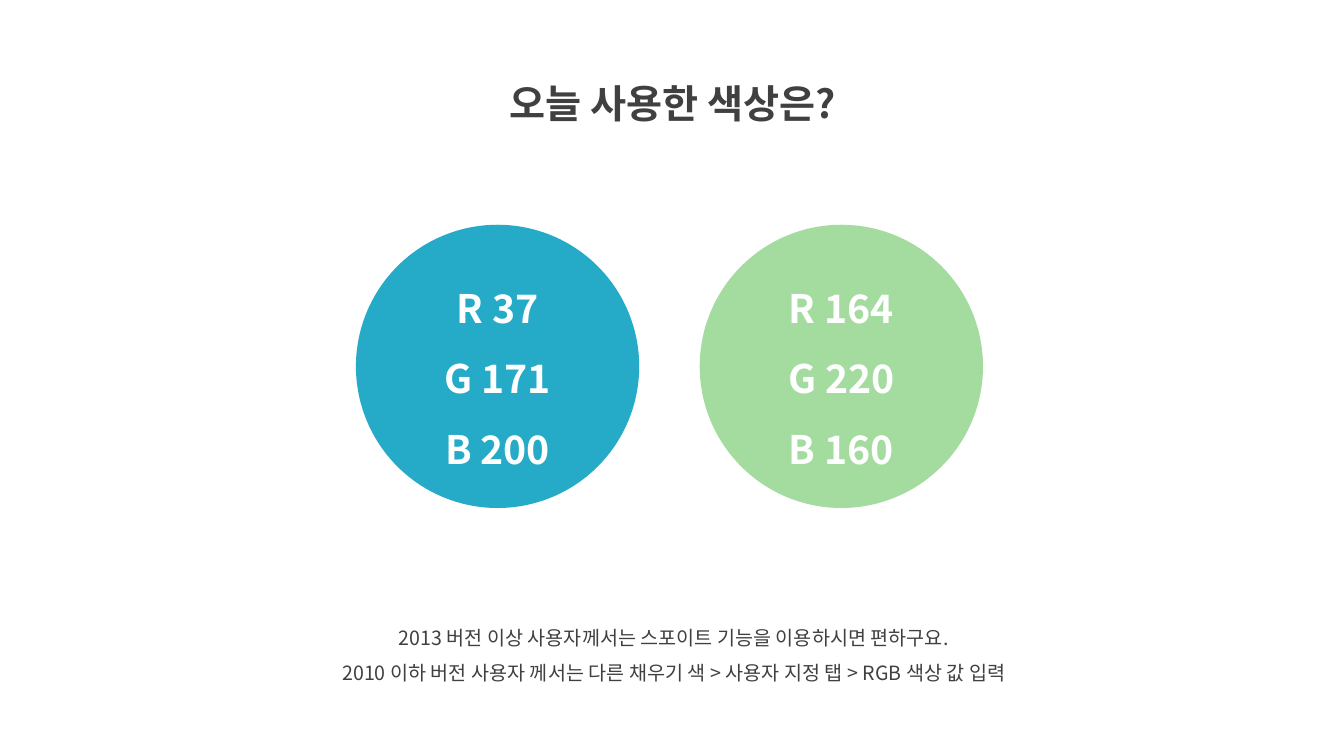
from pptx import Presentation
from pptx.dml.color import RGBColor
from pptx.enum.shapes import MSO_SHAPE
from pptx.enum.text import MSO_ANCHOR, MSO_AUTO_SIZE, PP_ALIGN
from pptx.oxml.ns import qn
from pptx.util import Inches, Pt

OVAL = MSO_SHAPE.OVAL
TOP, MIDDLE = MSO_ANCHOR.TOP, MSO_ANCHOR.MIDDLE
GROW, FIXED = MSO_AUTO_SIZE.SHAPE_TO_FIT_TEXT, MSO_AUTO_SIZE.NONE
CENTER = PP_ALIGN.CENTER

INK = RGBColor(0x40, 0x40, 0x40)
WHITE = RGBColor(0xFF, 0xFF, 0xFF)
BLUE = RGBColor(37, 171, 200)
GREEN = RGBColor(164, 220, 160)

SWATCH_LEFT, SWATCH_STEP = 26.48, 25.58
NOTES = [
    "2013 버전 이상 사용자께서는 스포이트 기능을 이용하시면 편하구요.",
    "2010 이하 버전 사용자 께서는 다른 채우기 색 > 사용자 지정 탭 > RGB 색상 값 입력",
]


class SlideBuilder:
    """Draws styled elements on a slide, placed in percent of its width and height."""

    font = "Noto Sans CJK KR"
    line_spacing = 1.5
    large, small = Pt(28), Pt(14)

    def __init__(self, deck):
        self.deck = deck
        self.slide = deck.slides.add_slide(deck.slide_layouts[5])

    def area(self, left, top, width, height):
        across, down = self.deck.slide_width / 100, self.deck.slide_height / 100
        return (round(left * across), round(top * down),
                round(width * across), round(height * down))

    def add_lines(self, shape, lines, size, color, bold=False, anchor=TOP, fit=GROW):
        frame = shape.text_frame
        frame.word_wrap = True
        frame.auto_size = fit
        frame.vertical_anchor = anchor
        for index, line in enumerate(lines):
            para = frame.add_paragraph() if index else frame.paragraphs[0]
            para.alignment = CENTER
            para.line_spacing = self.line_spacing
            para.space_before = Pt(0)
            span = para.add_run()
            span.text = line
            span.font.name = self.font
            span.font.size = size
            span.font.bold = bold
            span.font.color.rgb = color
            east_asian = span.font._element.makeelement(
                qn("a:ea"), {"typeface": self.font})
            span.font._element.find(qn("a:latin")).addnext(east_asian)

    def title(self, text, *place):
        box = self.slide.shapes.title
        box.left, box.top, box.width, box.height = self.area(*place)
        self.add_lines(box, [text], self.large, INK, bold=True)

    def note(self, lines, *place):
        box = self.slide.shapes.add_textbox(*self.area(*place))
        self.add_lines(box, lines, self.small, INK)

    def swatch(self, color, *place):
        circle = self.slide.shapes.add_shape(OVAL, *self.area(*place))
        circle.shadow.inherit = False
        circle.fill.solid()
        circle.fill.fore_color.rgb = color
        circle.line.fill.background()
        lines = [f"{channel} {value}" for channel, value in zip("RGB", color)]
        self.add_lines(circle, lines, self.large, WHITE, True, MIDDLE, FIXED)


def main():
    deck = Presentation()
    deck.slide_width, deck.slide_height = Inches(13.33), Inches(7.5)
    page = SlideBuilder(deck)
    page.title("오늘 사용한 색상은?", 32.7, 6.67, 34.72, 9.6)
    page.note(NOTES, 20.18, 80.53, 59.92, 10.8)
    for index, color in enumerate((BLUE, GREEN)):
        page.swatch(color, SWATCH_LEFT + index * SWATCH_STEP, 29.73, 21.08, 37.47)
    deck.save("out.pptx")


if __name__ == "__main__":
    main()
